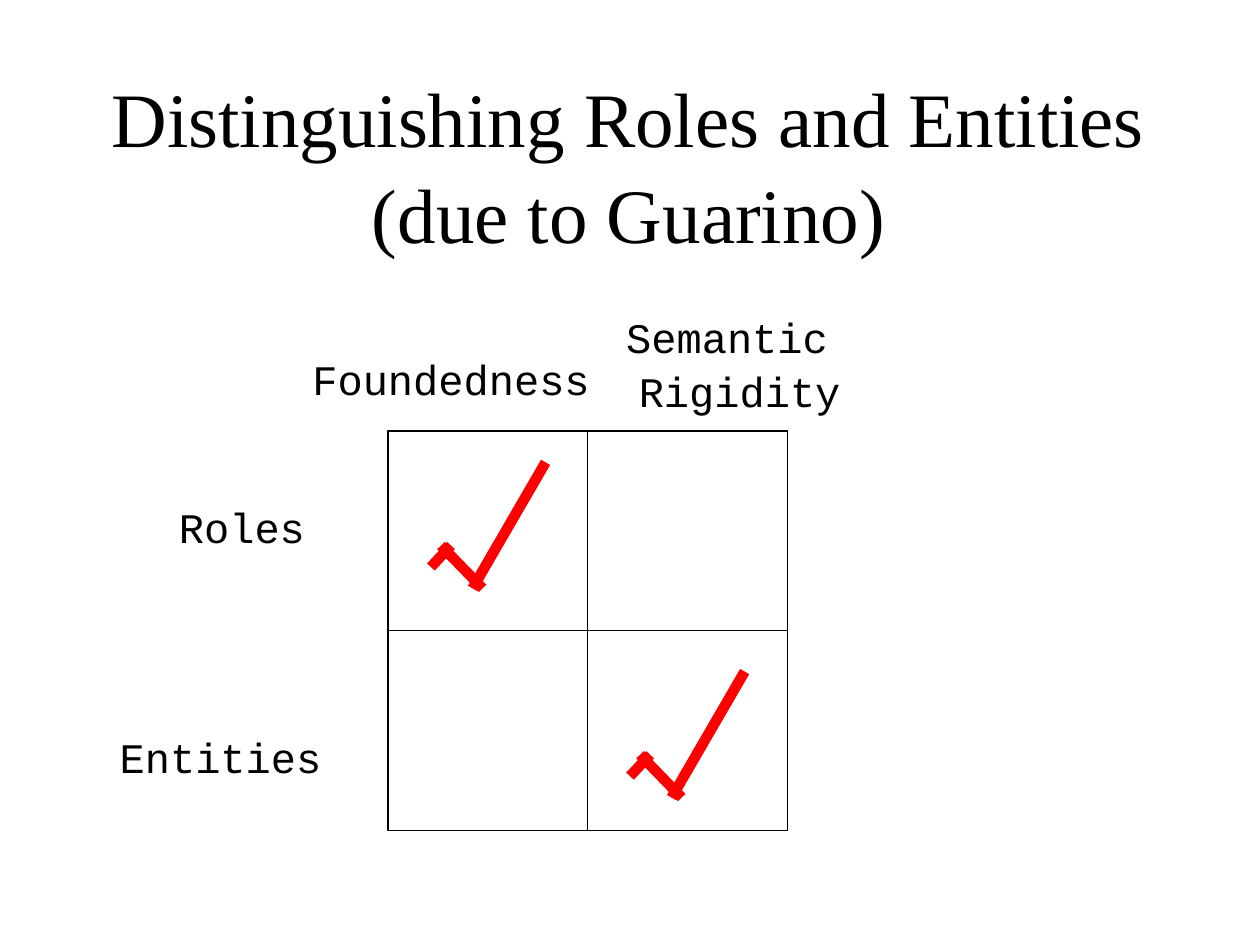
from lxml import etree
from pptx import Presentation
from pptx.dml.color import RGBColor
from pptx.enum.shapes import MSO_CONNECTOR, MSO_SHAPE
from pptx.enum.text import MSO_ANCHOR, MSO_AUTO_SIZE, PP_ALIGN
from pptx.oxml.ns import qn
from pptx.util import Inches, Pt

RECT, STRAIGHT = MSO_SHAPE.RECTANGLE, MSO_CONNECTOR.STRAIGHT
MIDDLE, CENTER, NO_FIT = MSO_ANCHOR.MIDDLE, PP_ALIGN.CENTER, MSO_AUTO_SIZE.NONE
BLACK, WHITE, RED = "000000", "FFFFFF", "FF0000"
TITLE_FONT = {"name": "Times New Roman", "size": Pt(44)}
LABEL_FONT = {"name": "Courier New", "size": Pt(24)}
GRID_LEFT, GRID_TOP, GRID_SIZE = 3.08, 3.42, 3.17
LABELS = [
    ("Foundedness", 2.58, 2.83, 2, 0.33),
    ("Semantic \nRigidity", 4.83, 2.5, 2.08, 0.75),
    ("Roles", 0.92, 4, 2, 0.33),
    ("Entities", 0.75, 5.83, 2, 0.33),
]
CHECK_STROKES = [
    (0, 0.83, 0.16, 0.66),
    (0.08, 0.66, 0.41, 1),
    (0.33, 1, 0.91, 0),
]
CHECKS = [(3.42, 3.67), (5, 5.33)]


def color(value):
    """Return the colour for a hex string."""
    return RGBColor.from_string(value)


def write_text(sp, text, font, wrap, spacing):
    """Write centred black text, one paragraph per line."""
    tf = sp.text_frame
    tf.text = text
    tf.auto_size = NO_FIT
    tf.word_wrap = wrap
    tf.vertical_anchor = MIDDLE
    for p in tf.paragraphs:
        p.alignment = CENTER
        p.line_spacing = spacing
        for name, value in font.items():
            setattr(p.font, name, value)
        p.font.color.rgb = color(BLACK)


def set_title(s, text, left, top, width, height):
    """Place and format the title placeholder."""
    sp = s.shapes.title
    sp.left, sp.top = Inches(left), Inches(top)
    sp.width, sp.height = Inches(width), Inches(height)
    write_text(sp, text, TITLE_FONT, True, 1.04)


def add_box(s, left, top, width, height, line):
    """Add a white rectangle with a thin outline."""
    sp = s.shapes.add_shape(RECT, Inches(left), Inches(top), Inches(width), Inches(height))
    sp.shadow.inherit = False
    sp.fill.solid()
    sp.fill.fore_color.rgb = color(WHITE)
    sp.line.color.rgb = color(line)
    sp.line.width = Pt(0.75)
    return sp


def add_line(shapes, x1, y1, x2, y2, line, width):
    """Add a straight line without a shadow."""
    cxn = shapes.add_connector(STRAIGHT, Inches(x1), Inches(y1), Inches(x2), Inches(y2))
    cxn.line.color.rgb = color(line)
    cxn.line.width = Pt(width)
    etree.SubElement(cxn._element.spPr, qn("a:effectLst"))
    return cxn


def add_grid(s):
    """Add the square and the two lines that quarter it."""
    box = add_box(s, GRID_LEFT, GRID_TOP, GRID_SIZE, GRID_SIZE, BLACK)
    right, bottom = GRID_LEFT + GRID_SIZE, GRID_TOP + GRID_SIZE
    mid_x, mid_y = GRID_LEFT + GRID_SIZE / 2, GRID_TOP + GRID_SIZE / 2
    row = add_line(s.shapes, GRID_LEFT, mid_y, right, mid_y, BLACK, 0.75)
    column = add_line(s.shapes, mid_x, bottom, mid_x, GRID_TOP, BLACK, 0.75)
    for cxn, begin, end in ((row, 1, 3), (column, 2, 0)):
        cxn.begin_connect(box, begin)
        cxn.end_connect(box, end)


def add_check(s, left, top):
    """Add a red check mark as a group of strokes."""
    group = s.shapes.add_group_shape()
    for x1, y1, x2, y2 in CHECK_STROKES:
        add_line(group.shapes, left + x1, top + y1, left + x2, top + y2, RED, 6)


def main():
    """Build and save the slide."""
    prs = Presentation()
    prs.slide_width, prs.slide_height = Inches(10), Inches(7.5)
    s = prs.slides.add_slide(prs.slide_layouts[5])
    set_title(s, "Distinguishing Roles and Entities (due to Guarino)", 0.75, 0.67, 8.48, 1.25)
    add_grid(s)
    for text, *place in LABELS:
        write_text(add_box(s, *place, WHITE), text, LABEL_FONT, False, 1.07)
    for place in CHECKS:
        add_check(s, *place)
    prs.save("out.pptx")


if __name__ == "__main__":
    main()
